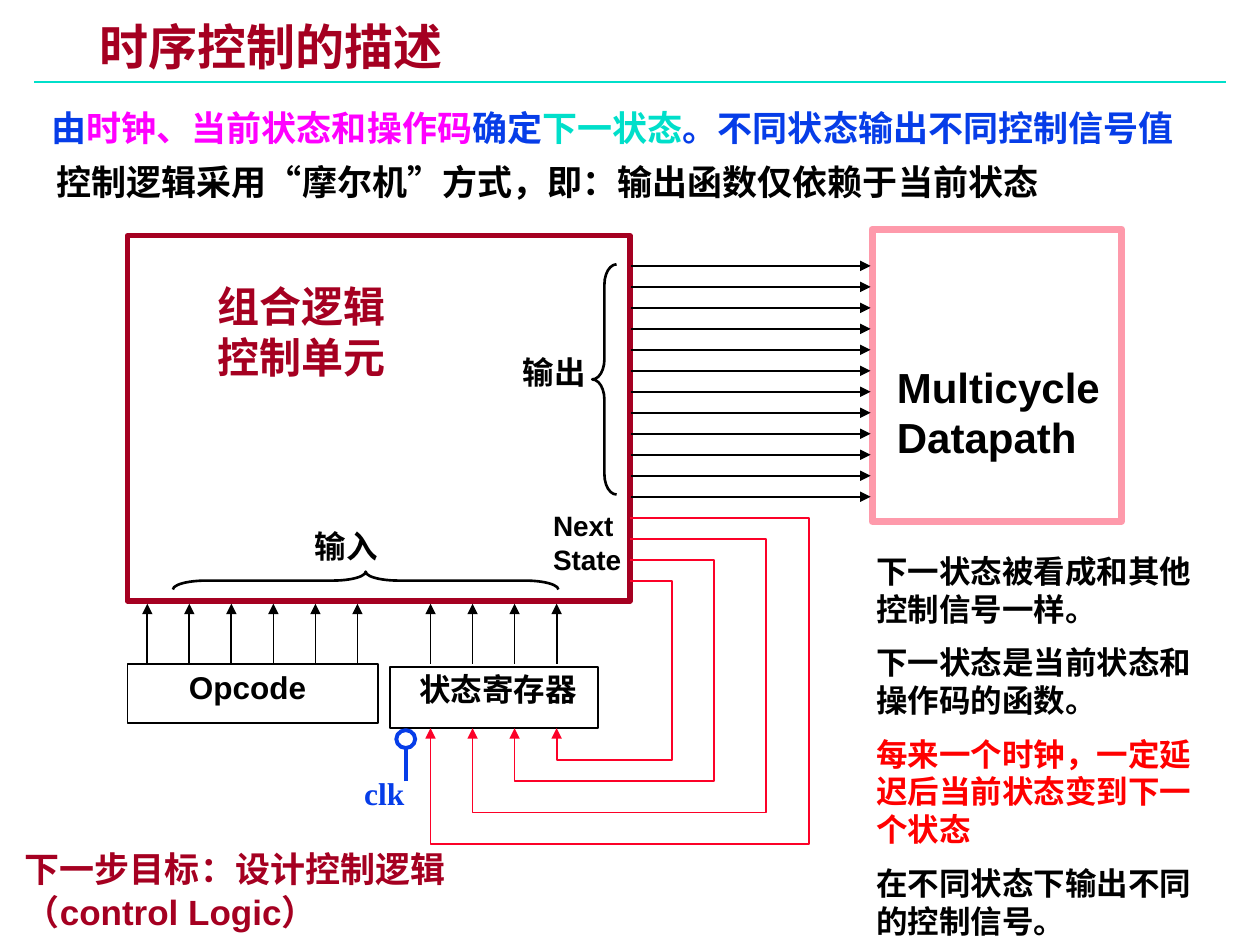
from lxml.etree import SubElement
from pptx import Presentation
from pptx.dml.color import RGBColor
from pptx.enum.shapes import MSO_CONNECTOR, MSO_SHAPE
from pptx.enum.text import MSO_ANCHOR, PP_ALIGN
from pptx.oxml.ns import qn
from pptx.util import Cm, Pt

COLORS = {
    "black": "000000", "crimson": "A50021", "teal": "00DFCA", "blue": "063DE8",
    "magenta": "FF00FF", "pink": "FE9AAB", "wire": "FC0128", "red": "FF0000",
}
ARIAL, TIMES, CJK = "Arial", "Times New Roman", "Noto Sans CJK SC"
PITCH = 0.847
SIGNAL_GAP = 0.423
OPCODE_X, STATE_X = 2.97, 8.68
UNIT_RIGHT = 12.7


def rgb(color):
    return RGBColor.from_string(COLORS[color])


def style_line(item, color, width, arrow=None):
    item.line.color.rgb = rgb(color)
    item.line.width = Pt(width)
    if arrow:
        SubElement(item.line._get_or_add_ln(), qn(f"a:{arrow}"), type="triangle")


def style_font(font, size=None, color=None, name=None):
    font.bold = True
    if size:
        font.size = Pt(size)
    if color:
        font.color.rgb = rgb(color)
    if name:
        font.name = name


def add_line(slide, start, end, color="black", width=1, arrow=None):
    line = slide.shapes.add_connector(
        MSO_CONNECTOR.STRAIGHT, *(Cm(v) for v in (*start, *end)))
    style_line(line, color, width, arrow)
    SubElement(line._element.spPr, qn("a:effectLst"))


def add_outline(slide, preset, box, color="black", width=1):
    outline = slide.shapes.add_shape(preset, *(Cm(v) for v in box))
    outline.shadow.inherit = False
    outline.fill.background()
    style_line(outline, color, width)
    return outline


def add_brace(slide, box, curve, rotation=0):
    brace = add_outline(slide, MSO_SHAPE.LEFT_BRACE, box, width=1.5)
    brace.adjustments[0] = curve
    brace.rotation = rotation


def add_text(slide, box, paragraphs, size, color="black", name=ARIAL,
             wrap=True, gap=0, align=PP_ALIGN.LEFT):
    frame = slide.shapes.add_textbox(*(Cm(v) for v in box)).text_frame
    frame.word_wrap = wrap
    for index, text in enumerate(paragraphs):
        paragraph = frame.add_paragraph() if index else frame.paragraphs[0]
        paragraph.text = text
        paragraph.alignment = align
        if index and gap:
            paragraph.space_before = Pt(gap)
        style_font(paragraph.font, size, color, name)
    return frame


def add_runs(paragraph, runs):
    for text, color, name in runs:
        run = paragraph.add_run()
        run.text = text
        style_font(run.font, color=color, name=name)


def add_feedback(slide, points):
    start, *rest = [(Cm(x), Cm(y)) for x, y in points]
    builder = slide.shapes.build_freeform(*start)
    builder.add_line_segments(rest, close=False)
    wire = builder.convert_to_shape()
    wire.shadow.inherit = False
    wire.fill.background()
    style_line(wire, "wire", 1, "headEnd")


def add_heading(slide):
    add_line(slide, (0.69, 1.65), (24.71, 1.65), "teal", 1.5)
    title = slide.shapes.title
    title.left, title.top, title.width, title.height = (
        Cm(v) for v in (1.83, 0.43, 21.67, 1.17))
    frame = title.text_frame
    frame.margin_left = frame.margin_right = Cm(0.18)
    frame.margin_top = frame.margin_bottom = Cm(0.08)
    frame.vertical_anchor = MSO_ANCHOR.MIDDLE
    frame.text = "时序控制的描述"
    paragraph = frame.paragraphs[0]
    paragraph.alignment = PP_ALIGN.LEFT
    paragraph.line_spacing = 0.87
    style_font(paragraph.font, 28, "crimson", ARIAL)

    rule = add_text(slide, (0.79, 2.03, 24.2, 1.12), [""], 20).paragraphs[0]
    add_runs(rule, [
        ("由", "blue", None),
        ("时钟、当前状态和操作码", "magenta", None),
        ("确定", "blue", None),
        ("下一状态", "teal", None),
        ("。不同状态输出不同控制信号值", "blue", None),
    ])
    moore = add_text(slide, (0.89, 3.12, 21.82, 1.12), [""], 20).paragraphs[0]
    add_runs(moore, [
        ("控制逻辑采用", None, TIMES),
        ("“", None, CJK),
        ("摩尔机", None, TIMES),
        ("”", None, CJK),
        ("方式，即：输出函数仅依赖于当前状态", None, TIMES),
    ])


def add_blocks(slide):
    rectangle = MSO_SHAPE.RECTANGLE
    add_outline(slide, rectangle, (2.57, 4.75, 10.13, 7.37), "crimson", 3)
    add_outline(slide, rectangle, (2.57, 13.39, 5.05, 1.19))
    add_outline(slide, rectangle, (7.87, 13.44, 4.19, 1.24))
    add_outline(slide, rectangle, (17.58, 4.62, 5.03, 5.89), "pink", 4)
    add_text(slide, (4.14, 5.54, 4.47, 2.29), ["组合逻辑控制单元"], 24, "crimson", TIMES)
    add_text(slide, (3.56, 13.34, 2.87, 1.02), ["Opcode"], 18, wrap=False)
    add_text(slide, (8.2, 13.39, 3.89, 1.02), ["状态寄存器"], 18, name=TIMES)
    add_text(slide, (17.83, 7.16, 4.6, 2.29), ["Multicycle", "Datapath"], 24, wrap=False)
    add_text(slide, (6.1, 10.49, 2.08, 1.02), ["输入"], 18, name=TIMES)
    add_text(slide, (10.03, 6.99, 2.29, 1.02), ["输出"], 18, name=TIMES,
             align=PP_ALIGN.CENTER)
    add_text(slide, (10.9, 10.13, 1.9, 1.63), ["Next", "State"], 16, wrap=False)
    add_brace(slide, (11.94, 5.33, 0.49, 4.64), 0.83)
    add_brace(slide, (7.19, 7.82, 0.36, 7.77), 1.86, 90)


def add_signals(slide):
    for first_x, count, bottom in ((OPCODE_X, 6, 13.36), (STATE_X, 4, 13.39)):
        for index in range(count):
            x = first_x + index * PITCH
            add_line(slide, (x, 12.17), (x, bottom), arrow="headEnd")
    for index in range(12):
        y = 5.36 + index * SIGNAL_GAP
        add_line(slide, (12.73, y), (17.55, y), arrow="tailEnd")
    turns = [(16.31, 17.02), (15.44, 16.38), (14.4, 15.75), (13.54, 15.32)]
    for index, (right, bottom) in enumerate(turns):
        x = STATE_X + index * PITCH
        y = 10.44 + index * SIGNAL_GAP
        add_feedback(slide, [(x, 14.68), (x, bottom), (right, bottom),
                             (right, y), (UNIT_RIGHT, y)])


def add_clock(slide):
    add_line(slide, (8.18, 15.75), (8.18, 15.07), "blue", 2.25)
    add_outline(slide, MSO_SHAPE.OVAL, (7.99, 14.72, 0.38, 0.36), "blue", 2.25)
    add_text(slide, (7.09, 15.47, 2.11, 1.02), ["clk"], 18, "blue", TIMES)


def add_notes(slide):
    notes = add_text(slide, (17.42, 11, 7.19, 8.08), [
        "下一状态被看成和其他控制信号一样。",
        "下一状态是当前状态和操作码的函数。",
        "每来一个时钟，一定延迟后当前状态变到下一个状态",
        "在不同状态下输出不同的控制信号。",
    ], 18, name=TIMES, gap=9)
    notes.paragraphs[2].font.color.rgb = rgb("red")
    add_text(slide, (0.25, 16.97, 9.25, 1.96),
             ["下一步目标：设计控制逻辑（control Logic）"], 20, "crimson")


def main():
    deck = Presentation()
    deck.slide_width, deck.slide_height = Cm(25.4), Cm(19.05)
    slide = deck.slides.add_slide(deck.slide_layouts[5])
    add_heading(slide)
    add_blocks(slide)
    add_signals(slide)
    add_clock(slide)
    add_notes(slide)
    deck.save("out.pptx")


if __name__ == "__main__":
    main()
